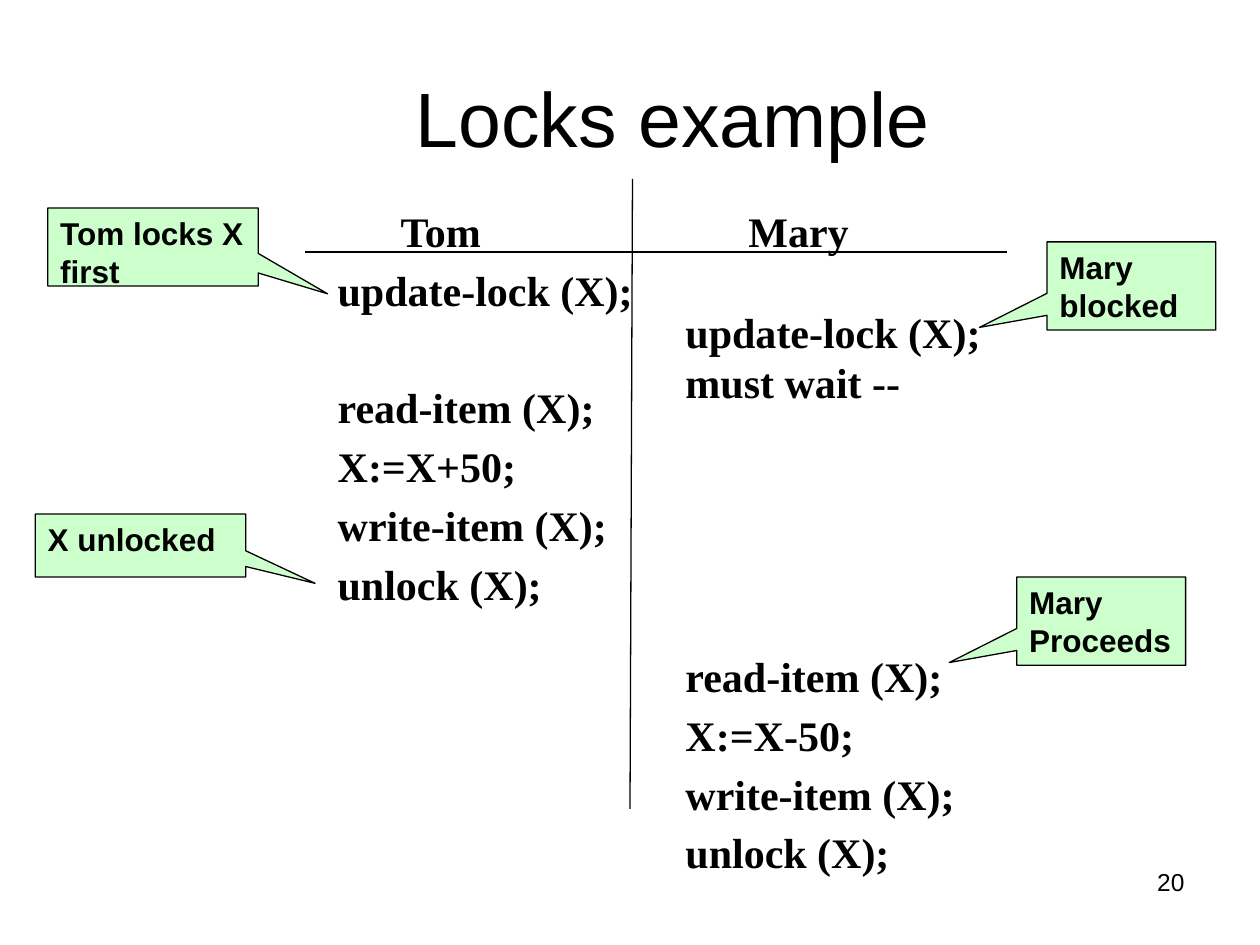
"""Build the locks example slide: two transactions side by side with callouts."""
from dataclasses import dataclass

from lxml.etree import SubElement
from pptx import Presentation
from pptx.dml.color import RGBColor
from pptx.enum.shapes import MSO_CONNECTOR, MSO_SHAPE
from pptx.enum.text import MSO_ANCHOR, MSO_AUTO_SIZE, PP_ALIGN
from pptx.oxml.ns import qn
from pptx.shapes.base import BaseShape
from pptx.slide import Slide
from pptx.text.text import TextFrame
from pptx.util import Inches, Pt

BLACK = RGBColor(0x00, 0x00, 0x00)
PALE_GREEN = RGBColor(0xCC, 0xFF, 0xCC)
LINE_HEIGHT = 28.8
STEP_GAP = 4.8
ROW = LINE_HEIGHT + STEP_GAP


@dataclass
class Step:
    text: str
    gap: float = STEP_GAP


@dataclass
class Transaction:
    left: float
    width: float
    owner: str
    steps: list[Step]


@dataclass
class Callout:
    text: str
    left: float
    top: float
    width: float
    height: float
    tip: tuple[float, float]


TIP_LEFT = (-0.9, 0.47)
TIP_RIGHT = (0.83, 0.6)

TRANSACTIONS = [
    Transaction(2.58, 2.79, "Tom", [
        Step("update-lock (X);"),
        Step("read-item (X);", STEP_GAP + ROW),
        Step("X:=X+50;"),
        Step("write-item (X);"),
        Step("unlock (X);"),
    ]),
    Transaction(5.34, 2.76, "Mary", [
        Step("update-lock (X);", LINE_HEIGHT),
        Step("must wait --", 0),
        Step("read-item (X);", STEP_GAP + 4 * ROW),
        Step("X:=X-50;"),
        Step("write-item (X);"),
        Step("unlock (X);"),
    ]),
]

CALLOUTS = [
    Callout("Mary blocked", 8.31, 1.92, 1.34, 0.7, TIP_LEFT),
    Callout("X unlocked", 0.28, 4.08, 1.67, 0.5, TIP_RIGHT),
    Callout("Mary Proceeds", 8.07, 4.58, 1.34, 0.7, TIP_LEFT),
    Callout("Tom locks X\nfirst", 0.38, 1.65, 1.67, 0.62, TIP_RIGHT),
]


def place(shape: BaseShape, left: float, top: float, width: float, height: float) -> None:
    shape.left, shape.top = Inches(left), Inches(top)
    shape.width, shape.height = Inches(width), Inches(height)


def style_text(frame: TextFrame, font_name: str, size: float, bold: bool,
               align: PP_ALIGN, anchor: MSO_ANCHOR = MSO_ANCHOR.TOP) -> None:
    frame.word_wrap = True
    frame.auto_size = MSO_AUTO_SIZE.NONE
    frame.vertical_anchor = anchor
    for paragraph in frame.paragraphs:
        paragraph.alignment = align
        for run in paragraph.runs:
            run.font.name = font_name
            run.font.size = Pt(size)
            run.font.bold = bold
            run.font.color.rgb = BLACK


def set_indent(paragraph, indent: float) -> None:
    properties = paragraph._p.get_or_add_pPr()
    properties.set("marL", str(Inches(indent)))
    properties.set("indent", "0")


def fill_title(slide: Slide) -> None:
    title = slide.shapes.title
    place(title, 0.5, 0.3, 9, 1.25)
    title.text_frame.text = "Locks example"
    style_text(title.text_frame, "Arial", 44, False, PP_ALIGN.CENTER, MSO_ANCHOR.MIDDLE)
    set_indent(title.text_frame.paragraphs[0], 0.68)


def fill_transaction(body: BaseShape, transaction: Transaction) -> None:
    place(body, transaction.left, 1.58, transaction.width, 5.5)
    rows = [Step(transaction.owner, 0), *transaction.steps]
    frame = body.text_frame
    frame.text = "\n".join(row.text for row in rows)
    style_text(frame, "Times New Roman", 24, True, PP_ALIGN.LEFT)
    for paragraph, row in zip(frame.paragraphs, rows):
        paragraph.line_spacing = Pt(LINE_HEIGHT)
        paragraph.space_before = Pt(row.gap)
        set_indent(paragraph, 0.5 if row is rows[0] else 0)
        SubElement(paragraph._p.get_or_add_pPr(), qn("a:buNone"))


def add_rule(slide: Slide, start: tuple[float, float], end: tuple[float, float]) -> None:
    rule = slide.shapes.add_connector(
        MSO_CONNECTOR.STRAIGHT, *(Inches(value) for value in start + end))
    rule.line.color.rgb = BLACK
    rule.line.width = Pt(0.75)
    SubElement(rule._element.spPr, qn("a:effectLst"))


def add_callout(slide: Slide, callout: Callout) -> None:
    bubble = slide.shapes.add_shape(
        MSO_SHAPE.RECTANGULAR_CALLOUT, Inches(callout.left), Inches(callout.top),
        Inches(callout.width), Inches(callout.height))
    bubble.adjustments[0], bubble.adjustments[1] = callout.tip
    bubble.shadow.inherit = False
    bubble.fill.solid()
    bubble.fill.fore_color.rgb = PALE_GREEN
    bubble.line.color.rgb = BLACK
    bubble.line.width = Pt(0.75)
    bubble.text_frame.text = callout.text
    style_text(bubble.text_frame, "Arial", 18, True, PP_ALIGN.LEFT)


def add_page_number(slide: Slide, number: str) -> None:
    page_number = slide.shapes.add_textbox(
        Inches(7.17), Inches(6.83), Inches(2.33), Inches(0.52))
    page_number.text_frame.text = number
    style_text(page_number.text_frame, "Arial", 14, False, PP_ALIGN.RIGHT)


def main() -> None:
    presentation = Presentation()
    presentation.slide_width, presentation.slide_height = Inches(10), Inches(7.5)
    slide = presentation.slides.add_slide(
        presentation.slide_layouts.get_by_name("Two Content"))
    fill_title(slide)
    bodies = list(slide.placeholders)[1:]
    for body, transaction in zip(bodies, TRANSACTIONS):
        fill_transaction(body, transaction)
    add_rule(slide, (2.42, 2), (7.99, 2))
    add_rule(slide, (5.02, 1.42), (5, 6.42))
    for callout in CALLOUTS:
        add_callout(slide, callout)
    add_page_number(slide, "20")
    presentation.save("out.pptx")


if __name__ == "__main__":
    main()
